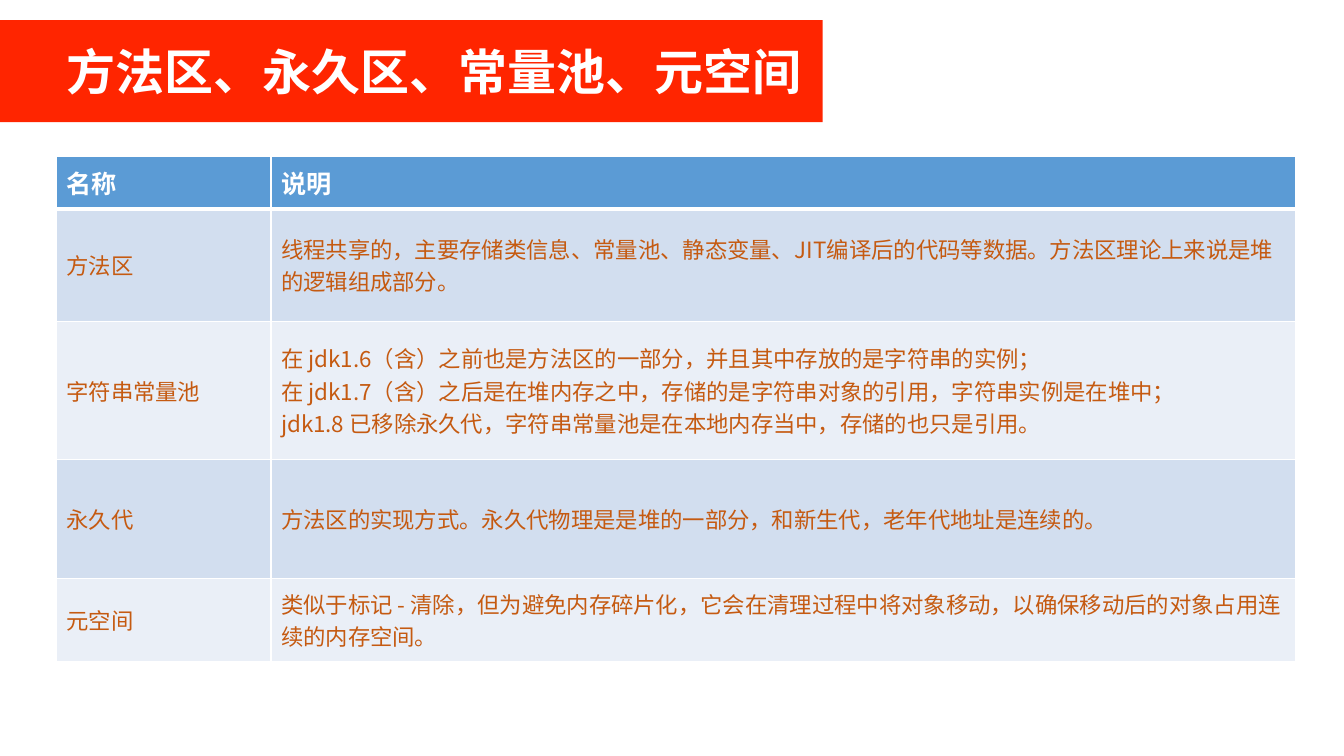
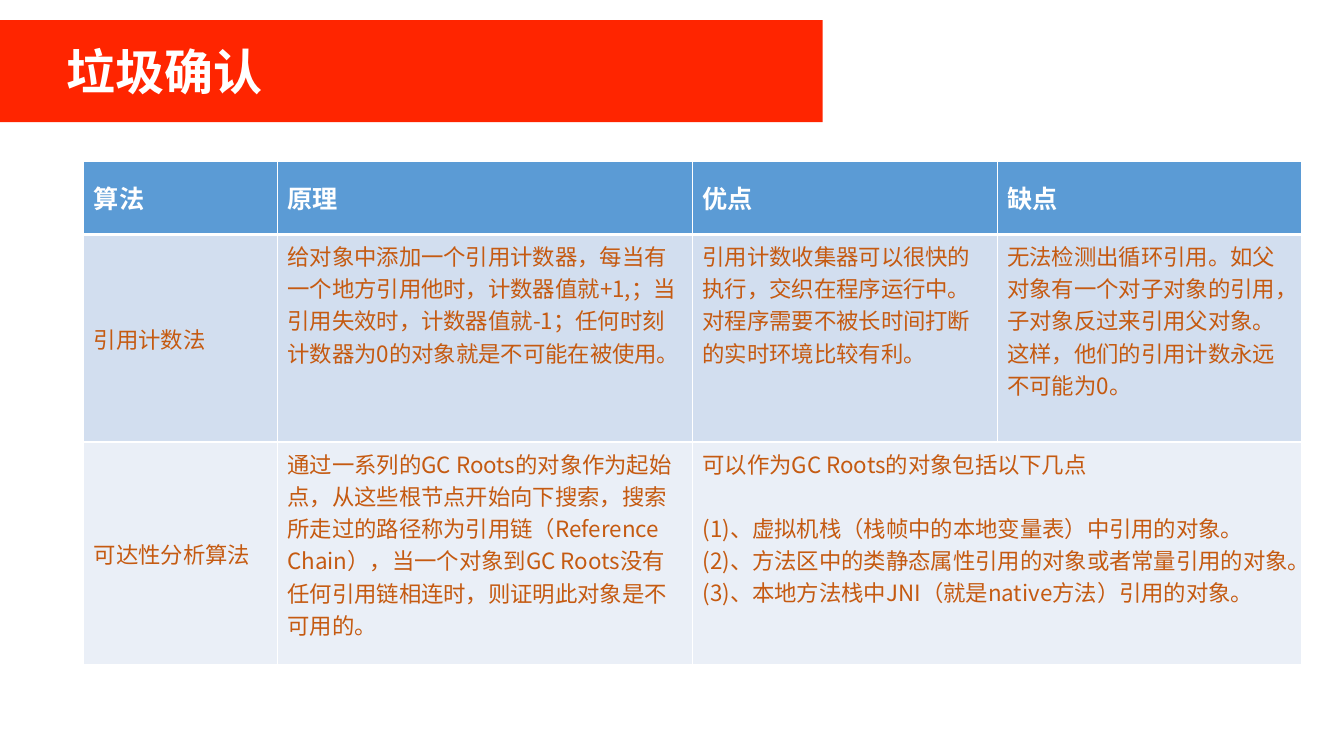
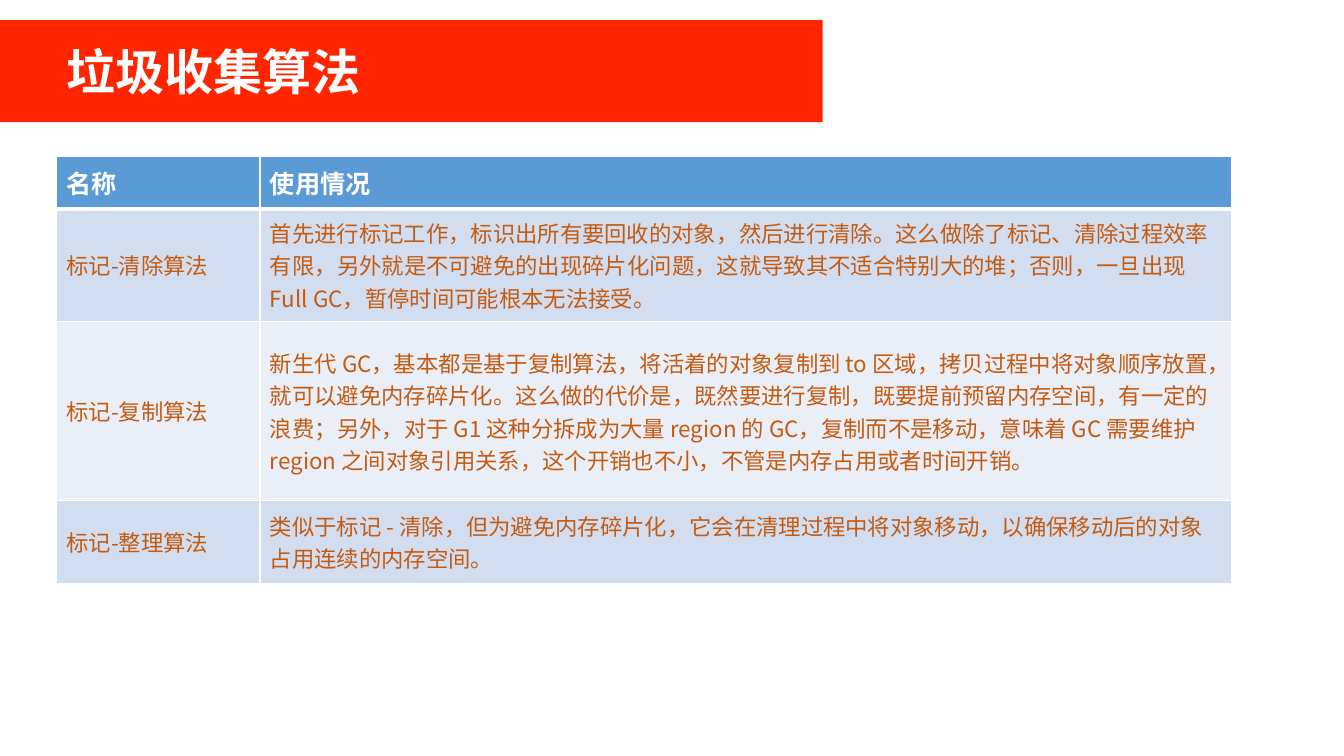
from lxml.etree import SubElement
from pptx import Presentation
from pptx.dml.color import RGBColor
from pptx.enum.lang import MSO_LANGUAGE_ID
from pptx.enum.shapes import MSO_SHAPE
from pptx.enum.text import MSO_ANCHOR
from pptx.oxml import parse_xml
from pptx.oxml.ns import nsdecls, qn
from pptx.util import Cm, Pt

RED, BLUE, WHITE, BROWN = "FF2500", "5B9BD5", "FFFFFF", "C55A11"
BANDS = ["D2DEEF", "EAEFF7"]
HEAVY, BODY = "Noto Sans CJK SC", "Noto Sans CJK JP"


def color(value):
    return RGBColor.from_string(value)


def write(frame, text, size=16, font=BODY, ink=BROWN, bold=False, gap=0):
    for index, line in enumerate(text.split("\n")):
        para = frame.paragraphs[0] if index == 0 else frame.add_paragraph()
        if index == 1:
            para.space_before = Pt(gap)
        span = para.add_run()
        span.text = line
        span.font.size = Pt(size)
        span.font.bold = bold
        span.font.name = font
        span.font.language_id = MSO_LANGUAGE_ID.SIMPLIFIED_CHINESE
        span.font.color.rgb = color(ink)
        SubElement(span.font._element, qn("a:ea"), typeface=font)


COMPACTING = "类似于标记 - 清除，但为避免内存碎片化，它会在清理过程中将对象移动，以确保移动后的对象占用连续的内存空间。"

SLIDES = [
    {
        "title": "方法区、永久区、常量池、元空间",
        "left": 1.42, "top": 3.94,
        "columns": [5.41, 25.83],
        "heights": [1.32, 2.84, 3.48, 3, 2.08],
        "body_anchor": MSO_ANCHOR.MIDDLE,
        "rows": [
            ["名称", "说明"],
            ["方法区", "线程共享的，主要存储类信息、常量池、静态变量、JIT编译后的代码等数据。方法区理论上来说是堆的逻辑组成部分。"],
            ["字符串常量池",
             "在 jdk1.6（含）之前也是方法区的一部分，并且其中存放的是字符串的实例；\n"
             "在 jdk1.7（含）之后是在堆内存之中，存储的是字符串对象的引用，字符串实例是在堆中；\n"
             "jdk1.8 已移除永久代，字符串常量池是在本地内存当中，存储的也只是引用。"],
            ["永久代", "方法区的实现方式。永久代物理是是堆的一部分，和新生代，老年代地址是连续的。"],
            ["元空间", COMPACTING],
        ],
    },
    {
        "title": "垃圾确认",
        "left": 2.11, "top": 4.06,
        "columns": [4.88, 10.46, 7.68, 7.68],
        "heights": [1.85, 5.23, 5.61],
        "body_anchor": MSO_ANCHOR.TOP,
        "gap": 23,
        "rows": [
            ["算法", "原理", "优点", "缺点"],
            ["引用计数法",
             "给对象中添加一个引用计数器，每当有一个地方引用他时，计数器值就+1,；当引用失效时，计数器值就-1；任何时刻计数器为0的对象就是不可能在被使用。",
             "引用计数收集器可以很快的执行，交织在程序运行中。对程序需要不被长时间打断的实时环境比较有利。",
             "无法检测出循环引用。如父对象有一个对子对象的引用，子对象反过来引用父对象。这样，他们的引用计数永远不可能为0。"],
            ["可达性分析算法",
             "通过一系列的GC Roots的对象作为起始点，从这些根节点开始向下搜索，搜索所走过的路径称为引用链（Reference Chain），"
             "当一个对象到GC Roots没有任何引用链相连时，则证明此对象是不可用的。",
             "可以作为GC Roots的对象包括以下几点\n"
             "(1)、虚拟机栈（栈帧中的本地变量表）中引用的对象。\n"
             "(2)、方法区中的类静态属性引用的对象或者常量引用的对象。\n"
             "(3)、本地方法栈中JNI（就是native方法）引用的对象。"],
        ],
    },
    {
        "title": "垃圾收集算法",
        "left": 1.42, "top": 3.94,
        "columns": [5.13, 24.49],
        "heights": [1.32, 2.84, 4.52, 2.08],
        "body_anchor": MSO_ANCHOR.MIDDLE,
        "rows": [
            ["名称", "使用情况"],
            ["标记-清除算法",
             "首先进行标记工作，标识出所有要回收的对象，然后进行清除。这么做除了标记、清除过程效率有限，另外就是不可避免的出现碎片化问题，"
             "这就导致其不适合特别大的堆；否则，一旦出现 Full GC，暂停时间可能根本无法接受。"],
            ["标记-复制算法",
             "新生代 GC，基本都是基于复制算法，将活着的对象复制到 to 区域，拷贝过程中将对象顺序放置，就可以避免内存碎片化。"
             "这么做的代价是，既然要进行复制，既要提前预留内存空间，有一定的浪费；另外，对于 G1 这种分拆成为大量 region 的 GC，"
             "复制而不是移动，意味着 GC 需要维护 region 之间对象引用关系，这个开销也不小，不管是内存占用或者时间开销。"],
            ["标记-整理算法", COMPACTING],
        ],
    },
]

deck = Presentation()
deck.slide_width, deck.slide_height = Cm(33.87), Cm(19.05)

for content in SLIDES:
    page = deck.slides.add_slide(deck.slide_layouts[6])

    band = page.shapes.add_shape(MSO_SHAPE.RECTANGLE, Cm(-0.05), Cm(0.51), Cm(20.78), Cm(2.57))
    band.shadow.inherit = False
    band.fill.solid()
    band.fill.fore_color.rgb = color(RED)
    band.line.fill.background()

    box = page.shapes.add_textbox(Cm(1.42), Cm(0.91), Cm(19.2), Cm(1.75))
    box.text_frame.word_wrap = True
    write(box.text_frame, content["title"], size=35, font=HEAVY, ink=WHITE, bold=True)

    rows, columns, heights = content["rows"], content["columns"], content["heights"]
    table = page.shapes.add_table(
        len(rows), len(columns), Cm(content["left"]), Cm(content["top"]),
        Cm(sum(columns)), Cm(sum(heights))).table
    for column, width in zip(table.columns, columns):
        column.width = Cm(width)
    for row, height in zip(table.rows, heights):
        row.height = Cm(height)

    for row_index, texts in enumerate(rows):
        header = row_index == 0
        for column_index in range(len(columns)):
            cell = table.cell(row_index, column_index)
            cell.fill.solid()
            cell.fill.fore_color.rgb = color(BLUE if header else BANDS[(row_index - 1) % 2])
            centred = header or column_index == 0
            cell.vertical_anchor = MSO_ANCHOR.MIDDLE if centred else content["body_anchor"]
            top_width = 3 if row_index == 1 else 1
            bottom_width = 3 if header else 1
            for place, (side, width) in enumerate(zip("LRTB", [1, 1, top_width, bottom_width])):
                border = parse_xml(
                    f'<a:ln{side} {nsdecls("a")} w="{Pt(width)}"><a:solidFill>'
                    f'<a:srgbClr val="{WHITE}"/></a:solidFill></a:ln{side}>')
                cell._tc.tcPr.insert(place, border)
        if len(texts) < len(columns):
            table.cell(row_index, len(texts) - 1).merge(table.cell(row_index, len(columns) - 1))
        for column_index, text in enumerate(texts):
            frame = table.cell(row_index, column_index).text_frame
            if header:
                write(frame, text, size=18, font=HEAVY, ink=WHITE, bold=True)
            else:
                write(frame, text, gap=content.get("gap", 0))

deck.save("out.pptx")
